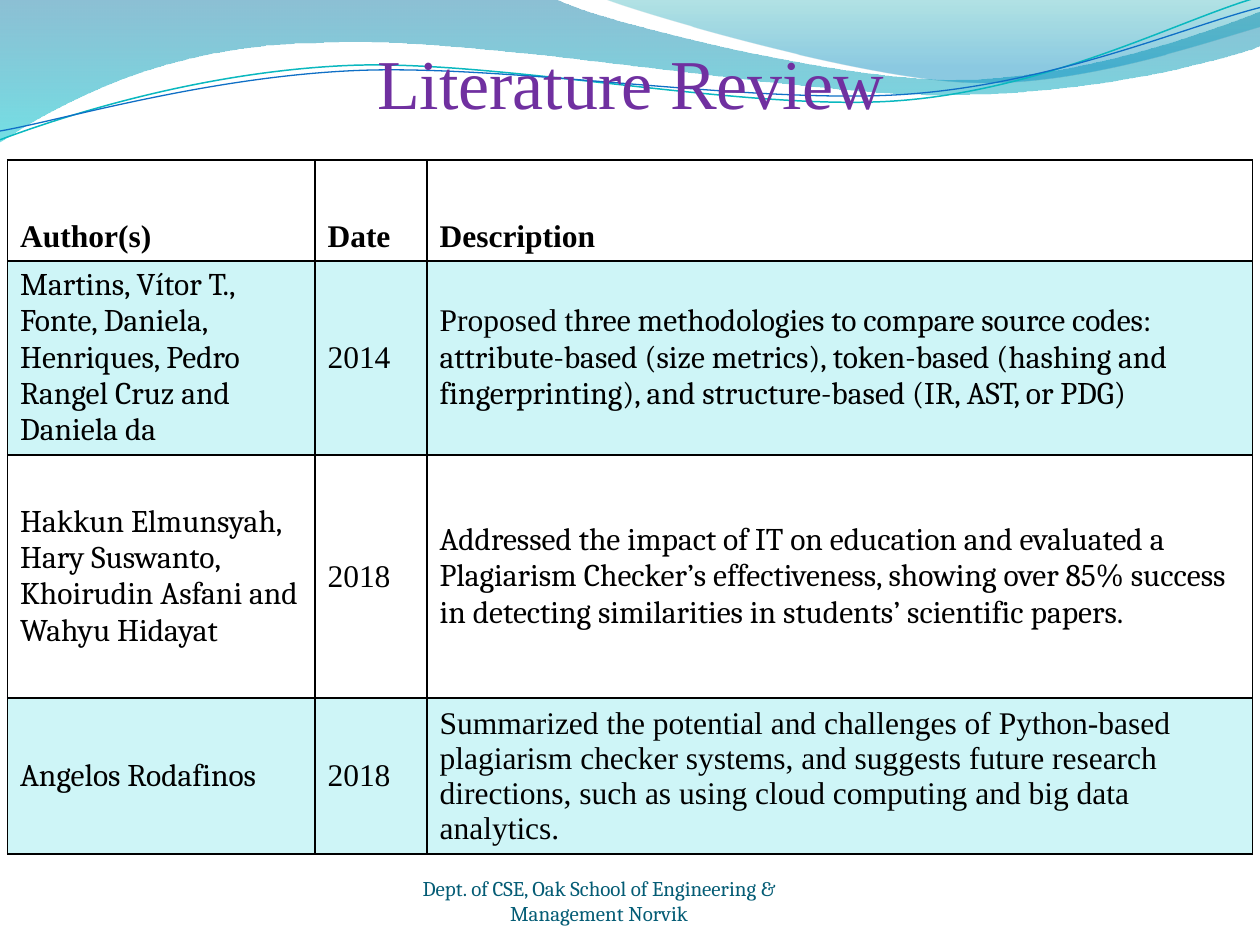
from lxml import etree
from pptx import Presentation
from pptx.dml.color import RGBColor
from pptx.enum.text import MSO_ANCHOR, PP_ALIGN
from pptx.oxml import parse_xml
from pptx.oxml.ns import nsdecls, qn
from pptx.util import Inches, Pt

COLORS = {
    "title": "7030A0", "footer": "045C75", "text": "000000", "band": "0BD0D9",
    "border": "000000", "teal line": "0AB8BF", "blue line": "0F6FC6",
}
SERIF, BODY = "Times New Roman", "Cambria"

prs = Presentation()
prs.slide_width, prs.slide_height = Inches(10), Inches(7.5)
slide = prs.slides.add_slide(prs.slide_layouts[6])


def add_wave(path, closed):
    """Draw a path whose items are points (x, y) or Bezier segments of three points."""
    anchors = [(Inches(item[-2]), Inches(item[-1])) for item in path]
    builder = slide.shapes.build_freeform(*anchors[0])
    builder.add_line_segments(anchors[1:], close=closed)
    wave = builder.convert_to_shape()
    wave.shadow.inherit = False
    segments = wave.element.findall(".//" + qn("a:lnTo"))
    for segment, item in zip(segments, path[1:]):
        if len(item) == 2:
            continue
        curve = etree.Element(qn("a:cubicBezTo"))
        for x, y in zip(item[::2], item[1::2]):
            point = etree.SubElement(curve, qn("a:pt"))
            point.set("x", str(Inches(x) - wave.left))
            point.set("y", str(Inches(y) - wave.top))
        segment.getparent().replace(segment, curve)
    return wave


def set_alpha(color_element, percent):
    etree.SubElement(color_element, qn("a:alpha")).set("val", str(percent * 1000))


# Gradient waves: path, then stops of (position, colour, opacity)
bands = [
    ([(0, -0.01), (4.4, -0.01), (4.76, 0.17, 6.64, 0.63, 7.58, 0.63),
      (8.53, 0.63, 9.58, 0.26, 10, 0.09), (10.01, 0.36),
      (9.83, 0.44, 8.7, 0.76, 7.46, 0.75), (6.22, 0.75, 3.82, 0.28, 2.57, 0.34),
      (1.29, 0.35, 0.46, 0.83, -0.01, 1.13)],
     [(0, "0074A1", 45), (1, "00C6CF", 55)]),
    ([(4.79, -0.01), (5.09, 0.11, 6.82, 0.62, 7.69, 0.65),
      (8.56, 0.69, 9.61, 0.32, 10, 0.21), (10, 0)],
     [(0, "00A1A9", 30), (0.8, "008BBF", 45)]),
]
for path, stops in bands:
    band = add_wave(path, closed=True)
    band.line.fill.background()
    band.fill.gradient()
    band.fill.gradient_angle = 270
    for stop, (position, color, _) in zip(band.fill.gradient_stops, stops):
        stop.position = position
        stop.color.rgb = RGBColor.from_string(color)
    color_elements = band.element.spPr.findall(".//" + qn("a:srgbClr"))
    for element, (_, _, opacity) in zip(color_elements, stops):
        set_alpha(element, opacity)

# Thin wave lines
strands = [
    ([(0, 1.11), (0.48, 0.93, 1.58, 0.57, 2.77, 0.52),
      (3.95, 0.47, 5.93, 0.89, 7.13, 0.8), (8.33, 0.71, 9.38, 0.15, 9.98, -0.02)],
     "teal line", 0.85),
    ([(0, 1.04), (0.47, 0.96, 1.64, 0.61, 2.83, 0.56),
      (4.03, 0.51, 5.97, 0.83, 7.17, 0.75), (8.36, 0.67, 9.41, 0.21, 10, 0.06)],
     "blue line", 0.75),
]
for path, color, width in strands:
    strand = add_wave(path, closed=False)
    strand.fill.background()
    strand.line.color.rgb = RGBColor.from_string(COLORS[color])
    strand.line.width = Pt(width)

# Footer and title: text, box, top inset, size, font, colour
captions = [
    ("Dept. of CSE, Oak School of Engineering & Management Norvik",
     (2.92, 6.95, 3.67, 0.4), 0, 12, BODY, "footer"),
    ("Literature Review", (0.84, 0.08, 8.33, 0.9), 0.05, 40, SERIF, "title"),
]
for text, box, top_inset, size, font, color in captions:
    frame = slide.shapes.add_textbox(*map(Inches, box)).text_frame
    frame.word_wrap = True
    frame.vertical_anchor = MSO_ANCHOR.BOTTOM
    frame.margin_left = frame.margin_right = frame.margin_bottom = 0
    frame.margin_top = Inches(top_inset)
    frame.text = text
    paragraph = frame.paragraphs[0]
    paragraph.alignment = PP_ALIGN.CENTER
    run_font = paragraph.runs[0].font
    run_font.size, run_font.name = Pt(size), font
    run_font.color.rgb = RGBColor.from_string(COLORS[color])

# Review table: each cell is a list of (text, font) runs
reviews = [
    [[("Author(s)", SERIF)], [("Date", SERIF)], [("Description", SERIF)]],
    [[("Martins, Vítor T., Fonte, Daniela, Henriques, Pedro Rangel Cruz and Daniela da", BODY)],
     [("2014", SERIF)],
     [("Proposed t", SERIF),
      ("hree methodologies to compare source codes: attribute-based (size metrics), "
       "token-based (hashing and fingerprinting), and structure-based (IR, AST, or PDG)", BODY)]],
    [[("Hakkun Elmunsyah, Hary Suswanto, Khoirudin Asfani and Wahyu Hidayat", BODY)],
     [("2018", SERIF)],
     [("Addressed the impact of IT on education and evaluated a Plagiarism Checker’s "
       "effectiveness, showing over 85% success in detecting similarities in students’ "
       "scientific papers.", BODY)]],
    [[("Angelos Rodafinos", BODY)],
     [("2018", SERIF)],
     [("Summarized the potential and challenges of Python-based plagiarism checker systems, "
       "and suggests future research directions, such as using cloud computing and big data "
       "analytics.", SERIF)]],
]
column_widths = [2.44, 0.89, 6.55]
row_heights = [0.8, 1.48, 1.93, 1.24]
table = slide.shapes.add_table(
    len(reviews), len(column_widths), Inches(0.06), Inches(1.27),
    Inches(sum(column_widths)), Inches(sum(row_heights))).table
table.first_row = table.horz_banding = False
for column, width in zip(table.columns, column_widths):
    column.width = Inches(width)
for row, height in zip(table.rows, row_heights):
    row.height = Inches(height)

for r, review in enumerate(reviews):
    for c, runs in enumerate(review):
        cell = table.cell(r, c)
        cell.vertical_anchor = MSO_ANCHOR.MIDDLE if r else MSO_ANCHOR.BOTTOM
        cell.margin_top = cell.margin_bottom = Inches(0.02 if r else 0.05)
        for text, font in runs:
            run = cell.text_frame.paragraphs[0].add_run()
            run.text = text
            run.font.name, run.font.size, run.font.bold = font, Pt(18), r == 0
            run.font.color.rgb = RGBColor.from_string(COLORS["text"])
        properties = cell._tc.get_or_add_tcPr()
        if r % 2:
            cell.fill.solid()
            cell.fill.fore_color.rgb = RGBColor.from_string(COLORS["band"])
            set_alpha(properties.find(".//" + qn("a:srgbClr")), 20)
        else:
            cell.fill.background()
        for index, side in enumerate(("lnL", "lnR", "lnT", "lnB")):
            properties.insert(index, parse_xml(
                f'<a:{side} {nsdecls("a")} w="{Pt(1)}"><a:solidFill>'
                f'<a:srgbClr val="{COLORS["border"]}"/></a:solidFill></a:{side}>'))

prs.save("out.pptx")
